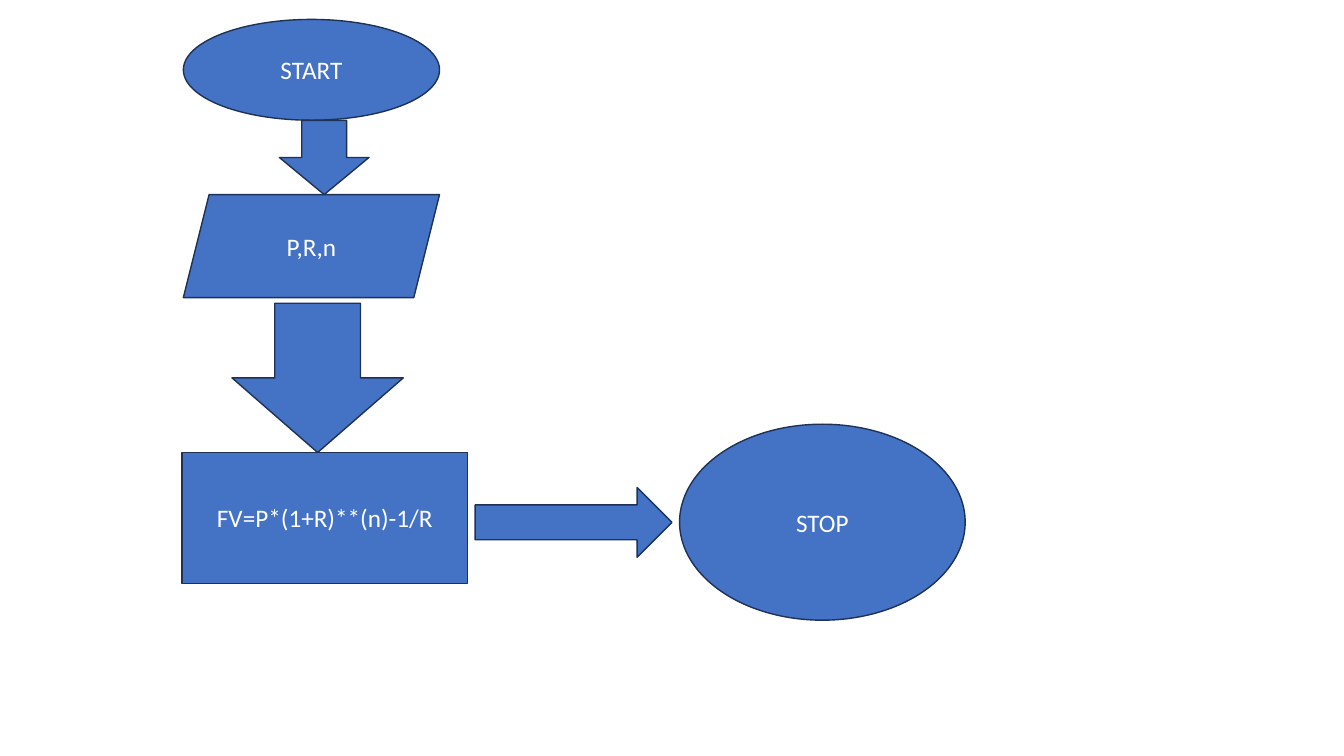
from dataclasses import dataclass

from pptx import Presentation
from pptx import util as u
from pptx.dml.color import RGBColor
from pptx.enum import shapes, text
from pptx.slide import Slide

BLUE = RGBColor(0x44, 0x72, 0xC4)
NAVY = RGBColor(0x1E, 0x32, 0x56)
WHITE = RGBColor(0xFF, 0xFF, 0xFF)

LABEL_FONT = {"name": "Calibri", "size": u.Pt(18)}
KIND = shapes.MSO_SHAPE


@dataclass(frozen=True)
class Step:
    """A flowchart symbol or block arrow, measured in points."""
    kind: shapes.MSO_SHAPE
    left: float
    top: float
    width: float
    height: float
    label: str = ""


STEPS = [
    Step(KIND.OVAL, 131, 13.9, 183, 72, "START"),
    Step(KIND.DOWN_ARROW, 199.6, 86, 64, 53),
    Step(KIND.PARALLELOGRAM, 131, 139, 183, 73.6, "P,R,n"),
    Step(KIND.DOWN_ARROW, 165.7, 216.6, 122.4, 106.6),
    Step(KIND.RECTANGLE, 130, 323.2, 204, 93.4, "FV=P*(1+R)**(n)-1/R"),
    Step(KIND.RIGHT_ARROW, 339.4, 348.2, 140.6, 49.8),
    Step(KIND.OVAL, 485.4, 303, 204, 140, "STOP"),
]


def add_step(slide: Slide, step: Step) -> None:
    box = (step.left, step.top, step.width, step.height)
    sp = slide.shapes.add_shape(step.kind, *map(u.Pt, box))
    sp.shadow.inherit = False
    sp.fill.solid()
    sp.fill.fore_color.rgb = BLUE
    sp.line.color.rgb = NAVY
    sp.line.width = u.Pt(1)
    if step.label:
        add_label(sp.text_frame, step.label)


def add_label(tf, label: str) -> None:
    tf.word_wrap = True
    tf.vertical_anchor = text.MSO_ANCHOR.MIDDLE
    p = tf.paragraphs[0]
    p.alignment = text.PP_ALIGN.CENTER
    r = p.add_run()
    r.text = label
    for name, value in LABEL_FONT.items():
        setattr(r.font, name, value)
    r.font.color.rgb = WHITE


def main() -> None:
    prs = Presentation()
    prs.slide_width, prs.slide_height = u.Pt(960), u.Pt(540)
    slide = prs.slides.add_slide(prs.slide_layouts[6])
    for step in STEPS:
        add_step(slide, step)
    prs.save("out.pptx")


if __name__ == "__main__":
    main()
